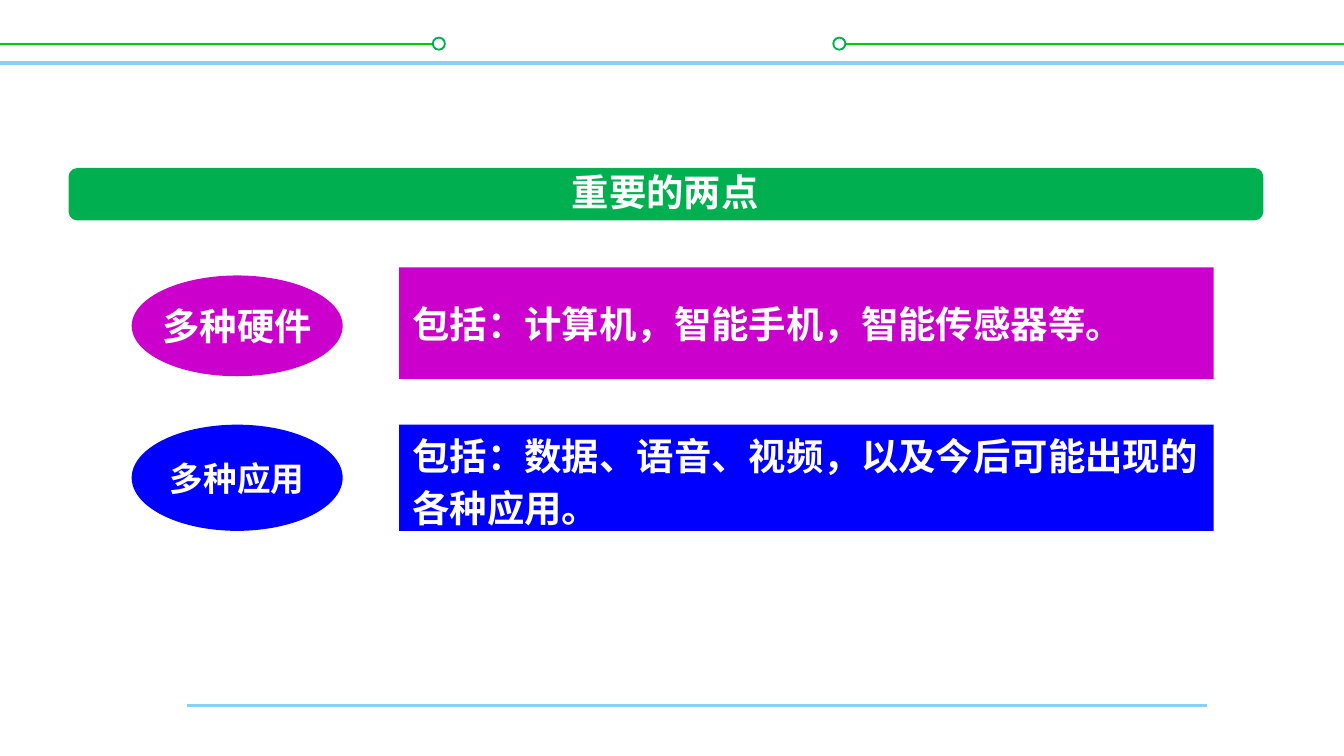
from lxml import etree
from pptx import Presentation
from pptx.dml.color import RGBColor
from pptx.enum import shapes, text
from pptx.oxml import ns
from pptx.util import Inches, Pt

FONT = "Noto Sans CJK SC"
WHITE, SKY, LIME, GREEN = "FFFFFF", "85D1F7", "00CC00", "00B050"
TITLE = "重要的两点"
ROWS = [
    dict(label="多种硬件", size=20, fill="CC00CC", oval=(2.05, 0.75),
         box=(1.99, 0.83), note="包括：计算机，智能手机，智能传感器等。", gap=None),
    dict(label="多种应用", size=18, fill="0000FF", oval=(3.16, 0.79),
         box=(3.16, 0.79), note="包括：数据、语音、视频，以及今后可能出现的各种应用。", gap=28),
]
RULES = [
    (0, 10, 0.47, SKY, 2),
    (0, 3.24, 0.33, LIME, 1),
    (6.2, 10, 0.33, LIME, 1),
    (1.39, 8.98, 5.25, SKY, 1.5),
]
DOTS = [3.22, 6.2]
KIND = shapes.MSO_SHAPE
MID, TOP = text.MSO_ANCHOR.MIDDLE, text.MSO_ANCHOR.TOP
LEFT, MEAN = text.PP_ALIGN.LEFT, text.PP_ALIGN.CENTER


def tint(code):
    return RGBColor.from_string(code)


def write(shape, words, size=20, align=MEAN, anchor=MID, wrap=False, gap=None):
    frame = shape.text_frame
    frame.word_wrap = wrap
    frame.vertical_anchor = anchor
    para = frame.paragraphs[0]
    para.alignment = align
    if gap:
        para.line_spacing = Pt(gap)
    run = para.add_run()
    run.text = words
    font = run.font
    font.size, font.bold, font.name = Pt(size), True, FONT
    font.color.rgb = tint(WHITE)
    east = etree.SubElement(run._r.get_or_add_rPr(), ns.qn("a:ea"))
    east.set("typeface", FONT)


def draw(tree, kind, at, fill, line=None):
    shape = tree.add_shape(kind, *map(Inches, at))
    shape.shadow.inherit = False
    shape.fill.solid()
    shape.fill.fore_color.rgb = tint(fill)
    if line:
        shape.line.color.rgb = tint(line)
        shape.line.width = Pt(1)
    else:
        shape.line.fill.background()
    return shape


def rule(tree, left, right, y, color, width):
    line = tree.add_connector(shapes.MSO_CONNECTOR.STRAIGHT,
                              *map(Inches, (left, y, right, y)))
    line.line.color.rgb = tint(color)
    line.line.width = Pt(width)
    etree.SubElement(line._element.spPr, ns.qn("a:effectLst"))


def main():
    deck = Presentation()
    deck.slide_width = Inches(10)
    deck.slide_height = deck.slide_width * 9 // 16
    tree = deck.slides.add_slide(deck.slide_layouts[6]).shapes

    for item in RULES:
        rule(tree, *item)
    for x in DOTS:
        draw(tree, KIND.OVAL, (x, 0.28, 0.09, 0.09), WHITE, GREEN)

    group = tree.add_group_shape().shapes
    bar = draw(group, KIND.ROUNDED_RECTANGLE, (0.51, 1.25, 8.89, 0.39), GREEN)
    bar.adjustments[0] = 0.167
    title = group.add_textbox(*map(Inches, (4.15, 1.21, 1.6, 0.44)))
    write(title, TITLE, anchor=TOP)
    title.text_frame.auto_size = text.MSO_AUTO_SIZE.SHAPE_TO_FIT_TEXT

    for row in ROWS:
        top, high = row["oval"]
        oval = draw(tree, KIND.OVAL, (0.98, top, 1.57, high), row["fill"])
        write(oval, row["label"], size=row["size"])
        top, high = row["box"]
        box = draw(tree, KIND.RECTANGLE, (2.97, top, 6.06, high), row["fill"])
        write(box, row["note"], align=LEFT, wrap=True, gap=row["gap"])

    deck.save("out.pptx")


if __name__ == "__main__":
    main()
